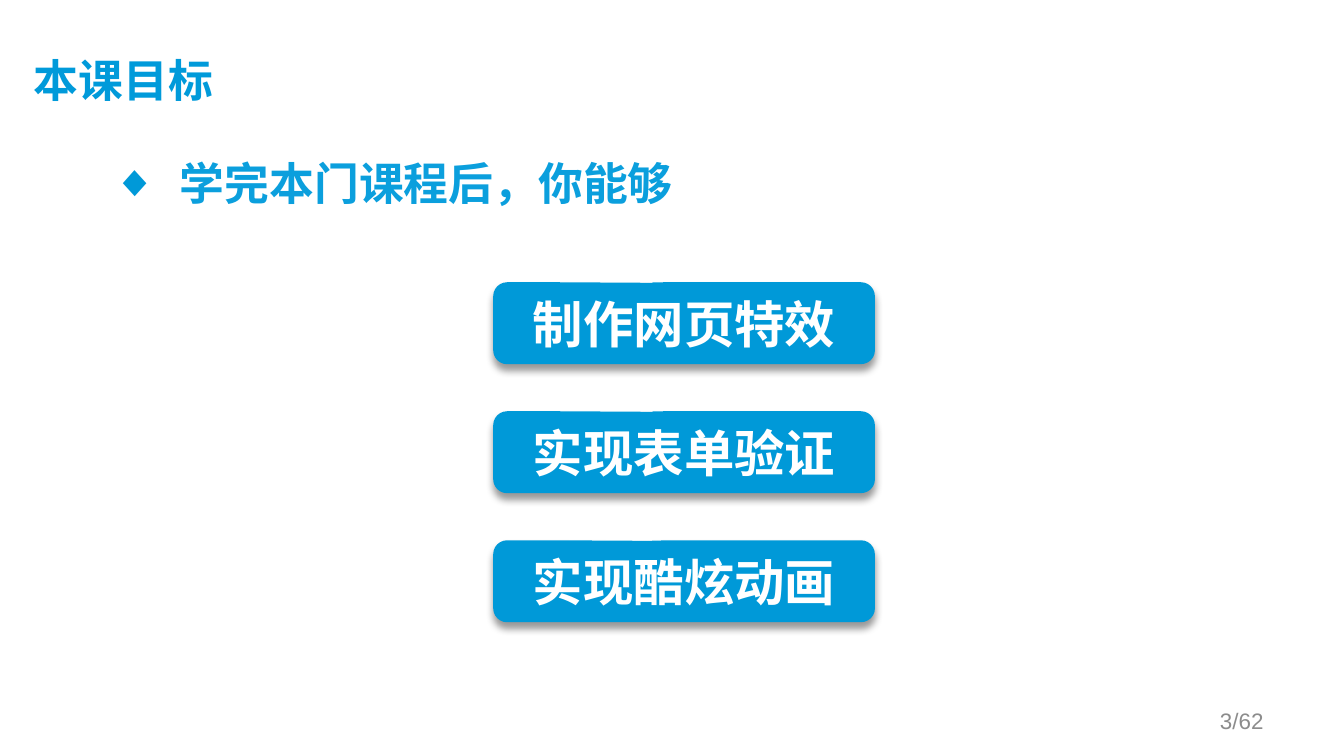
from lxml.etree import SubElement
from pptx import Presentation
from pptx.dml.color import RGBColor
from pptx.enum.shapes import MSO_SHAPE as Shape
from pptx.enum.text import MSO_ANCHOR as Anchor, PP_ALIGN as Align
from pptx.oxml.ns import qn
from pptx.util import Inches, Pt

COLORS = {
    "title": "009ADA",
    "lead": "0B9FDD",
    "accent": "0099D8",
    "button_text": "FFFFFF",
    "page_number": "8C8C8C",
    "shadow": "000000",
}
CJK = "Noto Sans CJK SC"
GOALS = ["制作网页特效", "实现表单验证", "实现酷炫动画"]


def add_span(para, text, size, color, font=CJK, bold=True):
    span = para.add_run()
    span.text = text
    span.font.size = Pt(size)
    span.font.bold = bold
    span.font.color.rgb = RGBColor.from_string(COLORS[color])
    span.font.name = font
    SubElement(span.font._element, qn("a:ea"), typeface=CJK)


def add_text_box(page, left, top, width, height, anchor):
    box = page.shapes.add_textbox(Inches(left), Inches(top), Inches(width), Inches(height))
    box.text_frame.word_wrap = True
    box.text_frame.vertical_anchor = anchor
    return box.text_frame


def add_title(page, left, top, width, height):
    frame = add_text_box(page, left, top, width, height, Anchor.MIDDLE)
    frame.margin_left = frame.margin_top = 0
    add_span(frame.paragraphs[0], "本课目标", 24, "title")


def add_lead(page, left, top, width, height):
    frame = add_text_box(page, left, top, width, height, Anchor.TOP)
    para = frame.paragraphs[0]
    props = para._p.get_or_add_pPr()
    props.set("marL", str(Inches(0.5)))
    props.set("indent", str(Inches(-0.5)))
    bullet_color = SubElement(props, qn("a:buClr"))
    SubElement(bullet_color, qn("a:srgbClr"), val=COLORS["accent"])
    SubElement(props, qn("a:buFont"), typeface="Arial")
    SubElement(props, qn("a:buChar"), char="◆")
    add_span(para, "学完本门课程后，你能够", 24, "lead")


def add_shadow(shape):
    shape.shadow.inherit = False
    effects = shape._element.spPr.find(qn("a:effectLst"))
    shadow = SubElement(effects, qn("a:outerShdw"), blurRad=str(Pt(4)), dist=str(Pt(3)),
                        dir="5400000", algn="t", rotWithShape="0")
    color = SubElement(shadow, qn("a:srgbClr"), val=COLORS["shadow"])
    SubElement(color, qn("a:alpha"), val="40000")


def add_goals(page, left, top, width, height):
    button_height = 0.61
    step = (height - button_height) / (len(GOALS) - 1)
    for index, goal in enumerate(GOALS):
        button = page.shapes.add_shape(
            Shape.ROUNDED_RECTANGULAR_CALLOUT, Inches(left), Inches(top + index * step),
            Inches(width), Inches(button_height))
        for position, value in enumerate([0, -0.49, 0.17]):
            button.adjustments[position] = value
        button.fill.solid()
        button.fill.fore_color.rgb = RGBColor.from_string(COLORS["accent"])
        button.line.fill.background()
        add_shadow(button)
        button.text_frame.vertical_anchor = Anchor.MIDDLE
        para = button.text_frame.paragraphs[0]
        para.alignment = Align.CENTER
        add_span(para, goal, 27, "button_text", "Arial")


def add_page_number(page, left, top, width, height):
    frame = add_text_box(page, left, top, width, height, Anchor.MIDDLE)
    para = frame.paragraphs[0]
    para.alignment = Align.RIGHT
    add_span(para, "3/62", 12, "page_number", "Arial", False)


def main():
    deck = Presentation()
    deck.slide_width = Inches(10)
    deck.slide_height = Inches(10 * 9 / 16)
    page = deck.slides.add_slide(deck.slide_layouts[6])
    add_lead(page, 0.74, 1.11, 8.49, 3.71)
    add_title(page, 0.25, 0.23, 9.01, 0.77)
    add_goals(page, 3.67, 2.1, 2.84, 2.53)
    add_page_number(page, 7.17, 5.21, 2.33, 0.3)
    deck.save("out.pptx")


if __name__ == "__main__":
    main()
